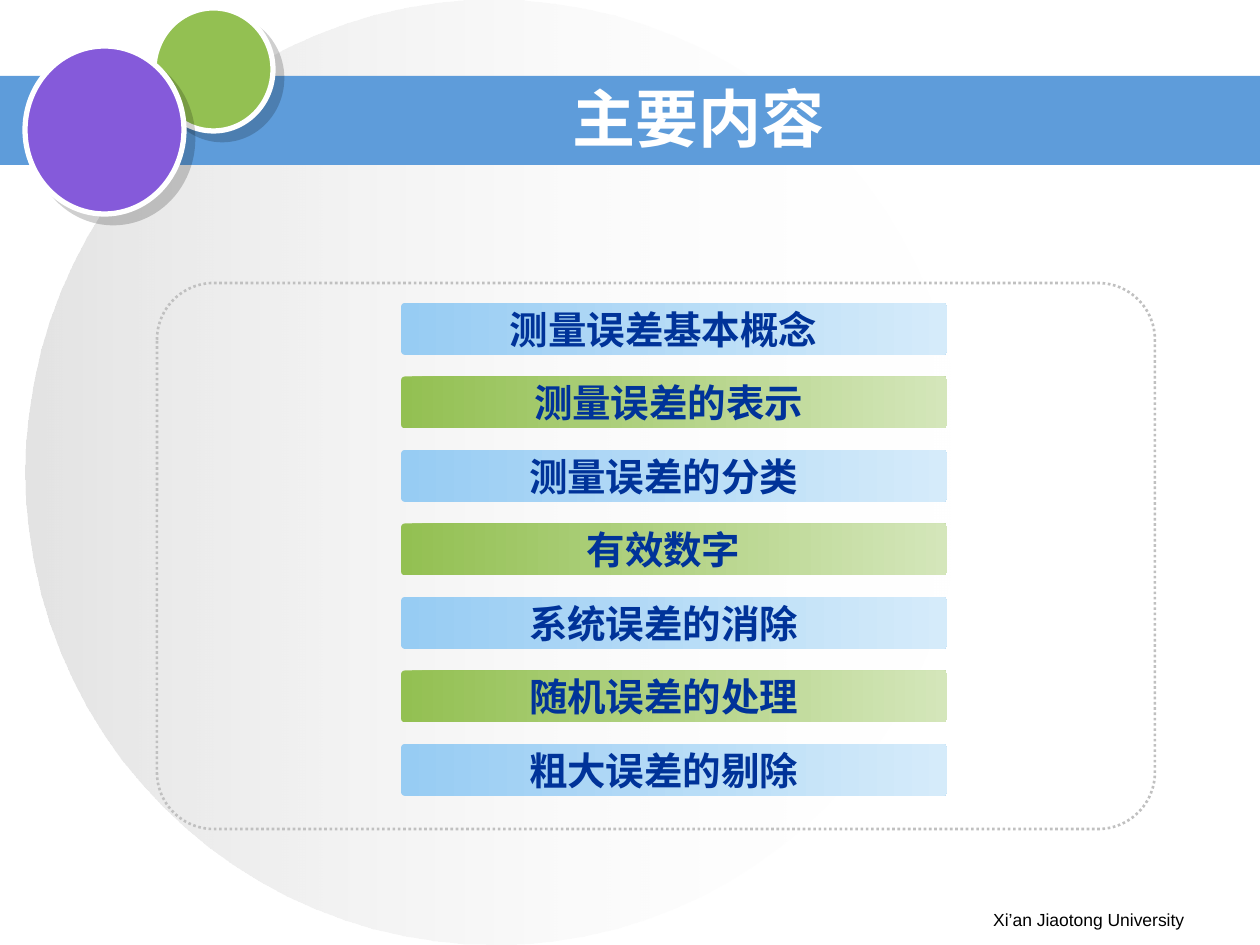
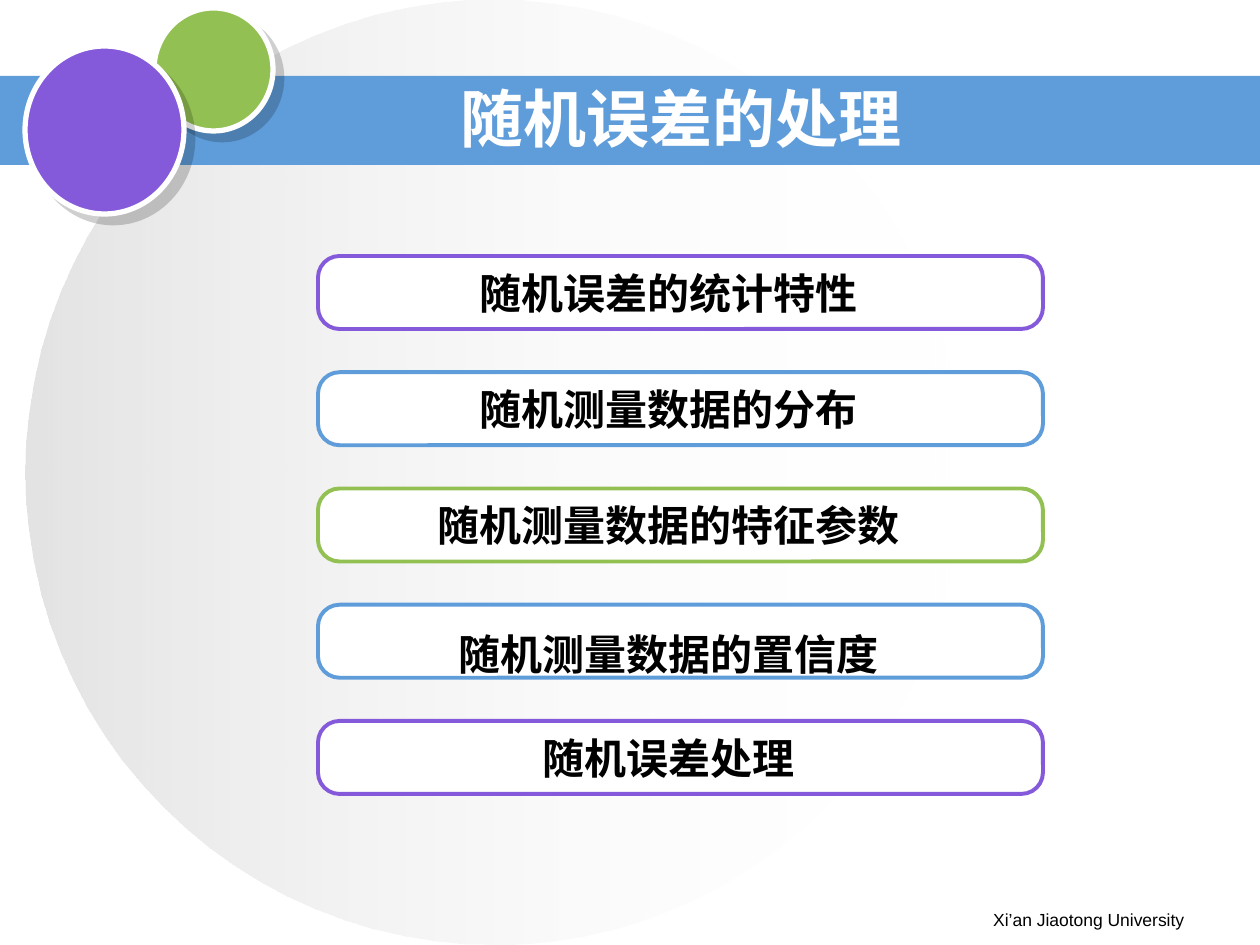
import pptx
import pptx.util
import pptx.dml.color
import pptx.enum.dml
import pptx.enum.shapes
import pptx.enum.text
import lxml.etree

PX = 914400 / 126
INSET = 13
FONT = "Arial"
HUE = {
    "white": "FFFFFF", "black": "000000", "grey": "C0C0C0", "navy": "003399",
    "blue": "5E9CDA", "green": "93C052", "violet": "855ADA",
    "sky": "97CCF3", "mist": "D5EBFA", "leaf": "D4E6BA",
}
KIND = pptx.enum.shapes.MSO_SHAPE
ALIGN = pptx.enum.text.PP_ALIGN
MIDDLE = pptx.enum.text.MSO_ANCHOR.MIDDLE
NS = "http://schemas.openxmlformats.org/drawingml/2006/main"
SHADE = f"""<a:effectLst xmlns:a="{NS}">
<a:outerShdw dist="90170" dir="2700000" algn="ctr" rotWithShape="0">
<a:srgbClr val="{HUE['black']}"><a:alpha val="19000"/></a:srgbClr>
</a:outerShdw></a:effectLst>"""


def emu(*vals):
    """Turn px lengths into EMU."""
    return [pptx.util.Emu(round(v * PX)) for v in vals]


def rgb(name):
    """Look up a colour by name."""
    return pptx.dml.color.RGBColor.from_string(HUE[name])


def shape(slide, kind, box, fill=None, line=None, width=1, round_by=None):
    """Add a preset shape; a pair of fill names makes a gradient."""
    item = slide.shapes.add_shape(kind, *emu(*box))
    item.shadow.inherit = False
    if round_by is not None:
        item.adjustments[0] = round_by
    if isinstance(fill, tuple):
        item.fill.gradient()
        item.fill.gradient_angle = 0
        for stop, name in zip(item.fill.gradient_stops, fill):
            stop.color.rgb = rgb(name)
    elif fill:
        item.fill.solid()
        item.fill.fore_color.rgb = rgb(fill)
    else:
        item.fill.background()
    if line:
        item.line.color.rgb = rgb(line)
        item.line.width = pptx.util.Pt(width)
    else:
        item.line.fill.background()
    return item


def write(item, text, size, hue, bold=True, align=ALIGN.CENTER, shift=0):
    """Fill a shape with one line, moved left by half the shift."""
    frame = item.text_frame
    frame.word_wrap = True
    frame.vertical_anchor = MIDDLE
    frame.margin_left, frame.margin_right = emu(INSET, INSET + shift)
    frame.margin_top = frame.margin_bottom = pptx.util.Inches(0.05)
    frame.text = text
    para = frame.paragraphs[0]
    para.alignment = align
    font = para.font
    font.name, font.size, font.bold = FONT, pptx.util.Pt(size), bold
    font.color.rgb = rgb(hue)
    return para


def disc(slide, box, hue):
    """Add a white-rimmed disc with a soft shadow."""
    item = shape(slide, KIND.OVAL, box, hue, "white", 3)
    props = item.element.spPr
    props.remove(props.find(f"{{{NS}}}effectLst"))
    props.append(lxml.etree.fromstring(SHADE))
    return item


def backdrop(slide, layout):
    """Draw the shared band and discs, and move them to the layout."""
    moon = shape(slide, KIND.OVAL, (25, 0, 937, 945), ("grey", "white"))
    for clr, alpha in zip(moon.element.xpath(".//a:gs/a:srgbClr"), (44000, 0)):
        lxml.etree.SubElement(clr, f"{{{NS}}}alpha").set("val", str(alpha))
    band = shape(slide, KIND.RECTANGLE, (0, 76, 1260, 89), "blue")
    small = disc(slide, (154, 8, 119, 123), "green")
    large = disc(slide, (25, 46, 159, 168), "violet")
    for item in (moon, band, small, large):
        layout.shapes.element.append(item.element)


def heading(slide, text, shift=0):
    """Place the title and the footer."""
    title = slide.shapes.title
    title.left, title.top, title.width, title.height = emu(284, 84, 829, 67)
    write(title, text, 36, "white", shift=shift)
    foot = slide.shapes.add_textbox(*emu(903, 903, 294, 34))
    write(foot, "Xi’an Jiaotong University", 10, "black", False, ALIGN.RIGHT)


def stack(box, count, high):
    """Yield equally spaced boxes of one height that fill the box."""
    left, top, wide, tall = box
    step = (tall - high) / (count - 1)
    for i in range(count):
        yield left, top + i * step, wide, high


def agenda(slide, box, topics):
    """Draw the dotted panel with its gradient bars."""
    left, top, wide, tall = box
    panel = shape(slide, KIND.ROUNDED_RECTANGLE, box, None, "grey", 1.5, 0.104)
    panel.line.dash_style = pptx.enum.dml.MSO_LINE.ROUND_DOT
    area = (left + 244, top + 20, 546, tall - 53)
    fills = (("sky", "mist"), ("green", "leaf"))
    for i, spot in enumerate(stack(area, len(topics), 52)):
        text, shift = topics[i]
        bar = shape(slide, KIND.ROUNDED_RECTANGLE, spot, fills[i % 2],
                    round_by=0.076)
        write(bar, text, 22, "navy", shift=shift)


def outline(slide, box, topics):
    """Draw the column of framed topics."""
    for spot, (text, hue, space) in zip(stack(box, len(topics), 73), topics):
        card = shape(slide, KIND.ROUNDED_RECTANGLE, spot, "white", hue, 2.25,
                     0.295)
        write(card, text, 24, "black", shift=23).line_spacing = space


def main():
    """Build both slides and save them."""
    deck = pptx.Presentation()
    deck.slide_width, deck.slide_height = emu(1260, 945)
    layout = deck.slide_layouts[5]
    first, second = [deck.slides.add_slide(layout) for _ in range(2)]
    backdrop(first, layout)

    heading(first, "主要内容")
    agenda(first, (157, 283, 998, 546), [
        ("测量误差基本概念", 21),
        ("测量误差的表示", 11),
        ("测量误差的分类", 21),
        ("有效数字", 21),
        ("系统误差的消除", 21),
        ("随机误差的处理", 21),
        ("粗大误差的剔除", 21),
    ])

    heading(second, "随机误差的处理", 35)
    outline(second, (318, 256, 725, 538), [
        ("随机误差的统计特性", "violet", 1.0),
        ("随机测量数据的分布", "blue", 1.0),
        ("随机测量数据的特征参数", "green", 1.0),
        ("随机测量数据的置信度", "blue", 1.5),
        ("随机误差处理", "violet", 1.0),
    ])
    deck.save("out.pptx")


if __name__ == "__main__":
    main()
